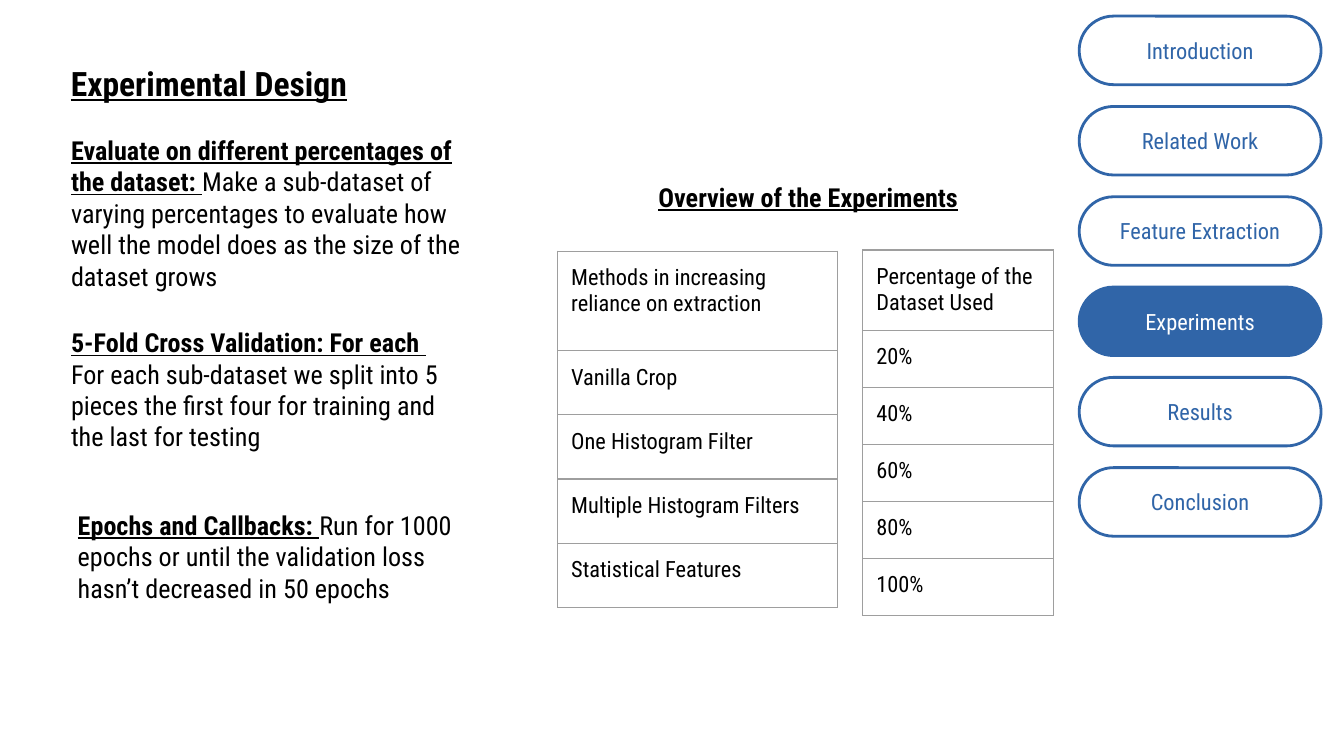
from lxml import etree
from pptx import Presentation
from pptx.dml.color import RGBColor
from pptx.enum import shapes, text
from pptx.oxml import ns
from pptx.util import Inches, Pt

BLUE = RGBColor(0x30, 0x65, 0xA8)
WHITE = RGBColor(0xFF, 0xFF, 0xFF)
BLACK = RGBColor(0, 0, 0)
GREY = RGBColor(0x9E, 0x9E, 0x9E)
FONT = "Roboto Condensed"
MARGIN = Inches(0.1)


def style_text(frame, size, color=BLACK, align=text.PP_ALIGN.LEFT,
               anchor=text.MSO_ANCHOR.TOP, heading=False):
    """Format a one-paragraph text frame; a heading is bold and underlined."""
    frame.word_wrap = True
    frame.auto_size = text.MSO_AUTO_SIZE.NONE
    frame.vertical_anchor = anchor
    frame.margin_left = frame.margin_right = MARGIN
    frame.margin_top = frame.margin_bottom = MARGIN
    paragraph = frame.paragraphs[0]
    paragraph.alignment = align
    font = paragraph.font
    font.name, font.size, font.color.rgb = FONT, Pt(size), color
    if heading:
        font.bold = font.underline = True


def add_borders(cell):
    properties = cell._tc.get_or_add_tcPr()
    for side in ("a:lnL", "a:lnR", "a:lnT", "a:lnB"):
        line = etree.SubElement(properties, ns.qn(side), w=str(Pt(0.75)))
        fill = etree.SubElement(line, ns.qn("a:solidFill"))
        etree.SubElement(fill, ns.qn("a:srgbClr"), val=str(GREY))


# A 16:9 slide
presentation = Presentation()
presentation.slide_width = Inches(10)
presentation.slide_height = Inches(10 * 9 / 16)
slide = presentation.slides.add_slide(presentation.slide_layouts[5])

# Title
title = slide.shapes.title
title.left, title.top = Inches(0), Inches(0.37)
title.width, title.height = Inches(3.11), Inches(0.5)
title.text_frame.text = "Experimental Design"
style_text(title.text_frame, 18, align=text.PP_ALIGN.CENTER, heading=True)

# Section navigation
sections = ["Introduction", "Related Work", "Feature Extraction",
            "Experiments", "Results", "Conclusion"]
current_section = "Experiments"
first_top, last_top = 0.12, 3.48
pitch = (last_top - first_top) / (len(sections) - 1)
for index, section in enumerate(sections):
    active = section == current_section
    pill = slide.shapes.add_shape(
        shapes.MSO_SHAPE.ROUNDED_RECTANGLE, Inches(8.03),
        Inches(first_top + pitch * index), Inches(1.8), Inches(0.51))
    pill.adjustments[0] = 0.5
    pill.shadow.inherit = False
    pill.fill.solid()
    pill.fill.fore_color.rgb = BLUE if active else WHITE
    pill.line.color.rgb = BLUE
    pill.line.width = Pt(1.5)
    pill.text_frame.text = section
    style_text(pill.text_frame, 12, WHITE if active else BLUE,
               text.PP_ALIGN.CENTER, text.MSO_ANCHOR.MIDDLE)

# Design notes: left, top, height, heading, body
notes = [
    (0.43, 0.9, 1.38, "Evaluate on different percentages of the dataset: ",
     "Make a sub-dataset of varying percentages to evaluate how well the "
     "model does as the size of the dataset grows"),
    (0.43, 2.33, 1.14, "5-Fold Cross Validation: For each ",
     " For each sub-dataset we split into 5 pieces the first four for "
     "training and the last for testing"),
    (0.48, 3.69, 0.91, "Epochs and Callbacks: ",
     "Run for 1000 epochs or until the validation loss hasn’t decreased "
     "in 50 epochs"),
]
for left, top, height, heading, body in notes:
    note = slide.shapes.add_textbox(
        Inches(left), Inches(top), Inches(3.11), Inches(height))
    paragraph = note.text_frame.paragraphs[0]
    heading_run = paragraph.add_run()
    heading_run.text = heading
    heading_run.font.bold = heading_run.font.underline = True
    paragraph.add_run().text = body
    style_text(note.text_frame, 14)

# Experiment overview
overview = slide.shapes.add_textbox(
    Inches(4.46), Inches(1.25), Inches(3.11), Inches(0.44))
overview.text_frame.text = "Overview of the Experiments"
style_text(overview.text_frame, 14, align=text.PP_ALIGN.CENTER, heading=True)

# Tables: left, top, width, height, header height, entries
tables = [
    (4.15, 1.87, 2.08, 2.65, 0.74,
     ["Methods in increasing reliance on extraction", "Vanilla Crop",
      "One Histogram Filter", "Multiple Histogram Filters",
      "Statistical Features"]),
    (6.42, 1.86, 1.42, 2.72, 0.6,
     ["Percentage of the Dataset Used", "20%", "40%", "60%", "80%", "100%"]),
]
for left, top, width, height, header_height, entries in tables:
    row_height = (height - header_height) / (len(entries) - 1)
    table = slide.shapes.add_table(
        len(entries), 1, Inches(left), Inches(top),
        Inches(width), Inches(height)).table
    table.first_row = table.horz_banding = False
    for index, entry in enumerate(entries):
        table.rows[index].height = Inches(row_height if index else header_height)
        cell = table.cell(index, 0)
        cell.text = entry
        cell.margin_left = cell.margin_right = MARGIN
        cell.margin_top = cell.margin_bottom = MARGIN
        add_borders(cell)
        cell.fill.background()
        font = cell.text_frame.paragraphs[0].font
        font.name, font.size, font.color.rgb = FONT, Pt(12), BLACK

presentation.save("out.pptx")
